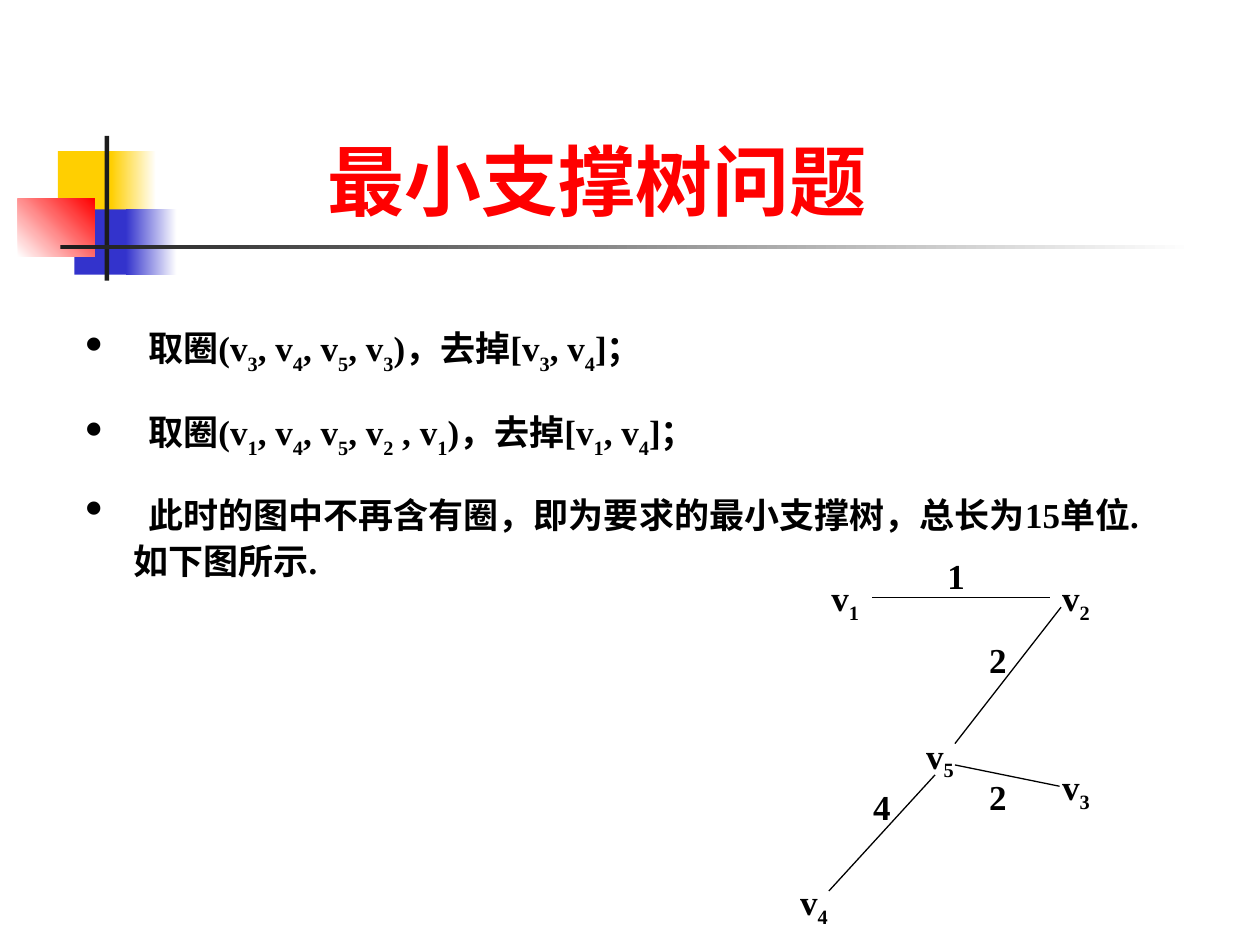
from dataclasses import dataclass

from lxml import etree
from pptx import Presentation
from pptx.dml.color import RGBColor
from pptx.enum import shapes, text
from pptx.oxml.ns import qn
from pptx.util import Cm, Pt

COLORS = {
    "yellow": "FFCF01",
    "blue": "3333CC",
    "red": "FF0000",
    "dark": "1C1C1C",
    "white": "FFFFFF",
    "black": "000000",
}
FONT = "Times New Roman"
HANGING = 1.27


@dataclass
class Block:
    """Decorative rectangle; with fade_to set it is a gradient."""
    left: float
    top: float
    width: float
    height: float
    color: str
    fade_to: str = ""
    angle: float = 0


@dataclass
class Statement:
    top: float
    width: float
    height: float
    lines: tuple[str, ...]


@dataclass
class Label:
    left: float
    top: float
    text: str


@dataclass
class Edge:
    x1: float
    y1: float
    x2: float
    y2: float


BLOCKS = [
    Block(1.17, 3.05, 1.22, 1.32, "yellow"),
    Block(2.24, 3.05, 0.91, 1.32, "yellow", "white"),
    Block(1.5, 4.22, 1.17, 1.32, "blue"),
    Block(2.54, 4.22, 1.02, 1.32, "blue", "white"),
    Block(0.36, 4.01, 1.55, 1.17, "white", "red", 45),
    Block(2.11, 2.74, 0.09, 2.92, "dark"),
    Block(1.22, 4.94, 22.86, 0.09, "dark", "white"),
]
# An underscore makes the next character a subscript.
STATEMENTS = [
    Statement(6.35, 14.4, 1.7, ("取圈(v_3, v_4, v_5, v_3)，去掉[v_3, v_4]；",)),
    Statement(8.05, 14.4, 1.7, ("取圈(v_1, v_4, v_5, v_2 , v_1)，去掉[v_1, v_4]；",)),
    Statement(9.73, 22.43, 2.11, (
        "此时的图中不再含有圈，即为要求的最小支撑树，总长为15单位.",
        "如下图所示.",
    )),
]
EDGES = [
    Edge(17.58, 12.04, 21.16, 12.04),
    Edge(19.25, 15.42, 21.36, 15.85),
    Edge(21.39, 12.24, 19.25, 14.99),
    Edge(18.85, 15.62, 16.71, 17.96),
]
LABELS = [
    Label(16.51, 11.4, "v_1"),
    Label(21.16, 11.4, "v_2"),
    Label(21.16, 15.21, "v_3"),
    Label(15.88, 17.53, "v_4"),
    Label(18.42, 14.58, "v_5"),
    Label(18.85, 10.97, "1"),
    Label(19.69, 12.67, "2"),
    Label(19.69, 15.42, "2"),
    Label(17.35, 15.62, "4"),
]


def rgb(name: str) -> RGBColor:
    return RGBColor.from_string(COLORS[name])


def set_font(paragraph, size: float, color: str) -> None:
    font = paragraph.font
    font.name, font.size, font.bold = FONT, Pt(size), True
    font.color.rgb = rgb(color)


def add_block(slide, block: Block) -> None:
    shape = slide.shapes.add_shape(
        shapes.MSO_SHAPE.RECTANGLE,
        Cm(block.left), Cm(block.top), Cm(block.width), Cm(block.height))
    shape.shadow.inherit = False
    shape.line.fill.background()
    if block.fade_to:
        shape.fill.gradient()
        shape.fill.gradient_angle = block.angle
        for stop, name in zip(shape.fill.gradient_stops, (block.color, block.fade_to)):
            stop.color.rgb = rgb(name)
    else:
        shape.fill.solid()
        shape.fill.fore_color.rgb = rgb(block.color)


def add_title(slide, title: str) -> None:
    shape = slide.shapes.title
    shape.left, shape.top, shape.width, shape.height = Cm(6.35), Cm(2.11), Cm(12.27), Cm(2.57)
    frame = shape.text_frame
    frame.text = title
    frame.auto_size = text.MSO_AUTO_SIZE.NONE
    frame.vertical_anchor = text.MSO_ANCHOR.BOTTOM
    frame.paragraphs[0].alignment = text.PP_ALIGN.LEFT
    set_font(frame.paragraphs[0], 44, "red")


def add_frame(parent, left: float, top: float, width: float, height: float):
    frame = parent.shapes.add_textbox(Cm(left), Cm(top), Cm(width), Cm(height)).text_frame
    frame.word_wrap = True
    return frame


def set_indent(paragraph, margin: float, first_line: float = 0) -> None:
    properties = paragraph._p.get_or_add_pPr()
    properties.set("marL", str(Cm(margin)))
    properties.set("indent", str(Cm(first_line)))


def add_bullet(paragraph) -> None:
    properties = paragraph._p.get_or_add_pPr()
    color = etree.SubElement(properties, qn("a:buClr"))
    etree.SubElement(color, qn("a:srgbClr"), val=COLORS["black"])
    etree.SubElement(properties, qn("a:buSzPct"), val="145000")
    etree.SubElement(properties, qn("a:buChar"), char="•")


def write_math(paragraph, content: str, baseline: int) -> None:
    """Write content, lowering each character that follows an underscore."""
    paragraph.alignment = text.PP_ALIGN.JUSTIFY
    paragraph.line_spacing = 1.1
    set_font(paragraph, 20, "black")
    first, *rest = content.split("_")
    paragraph.add_run().text = first
    for piece in rest:
        subscript = paragraph.add_run()
        subscript.text = piece[0]
        subscript._r.get_or_add_rPr().set("baseline", str(baseline))
        if piece[1:]:
            paragraph.add_run().text = piece[1:]


def add_statement(slide, statement: Statement) -> None:
    frame = add_frame(slide, 1.47, statement.top, statement.width, statement.height)
    for index, line in enumerate(statement.lines):
        if index == 0:
            paragraph = frame.paragraphs[0]
            set_indent(paragraph, HANGING, -HANGING)
            add_bullet(paragraph)
        else:
            paragraph = frame.add_paragraph()
            set_indent(paragraph, 0.97)
        write_math(paragraph, line, -30000)


def add_edge(group, edge: Edge) -> None:
    connector = group.shapes.add_connector(
        shapes.MSO_CONNECTOR.STRAIGHT,
        Cm(edge.x1), Cm(edge.y1), Cm(edge.x2), Cm(edge.y2))
    connector.line.color.rgb = rgb("black")
    connector.line.width = Pt(0.75)
    etree.SubElement(connector._element.spPr, qn("a:effectLst"))


def add_label(group, label: Label) -> None:
    frame = add_frame(group, label.left, label.top, 1.6, 1.52)
    write_math(frame.paragraphs[0], label.text, -25000)


def main() -> None:
    presentation = Presentation()
    presentation.slide_width, presentation.slide_height = Cm(25.4), Cm(19.05)
    slide = presentation.slides.add_slide(presentation.slide_layouts.get_by_name("Title Only"))
    for block in BLOCKS:
        add_block(slide, block)
    add_title(slide, "最小支撑树问题")
    for statement in STATEMENTS:
        add_statement(slide, statement)
    tree = slide.shapes.add_group_shape()
    for edge in EDGES:
        add_edge(tree, edge)
    for label in LABELS:
        add_label(tree, label)
    presentation.save("out.pptx")


if __name__ == "__main__":
    main()
